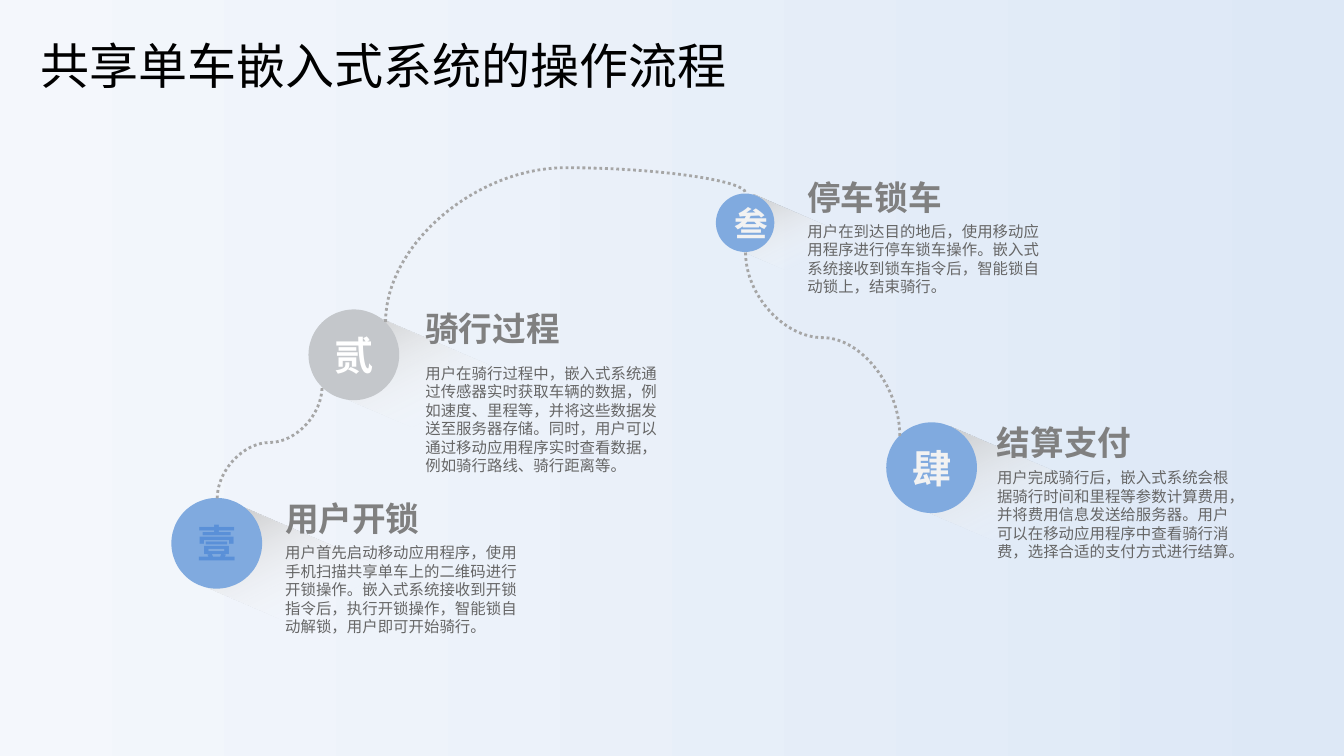
"""Build a slide on the four steps of riding a shared bike."""
import pptx
import pptx.util
import pptx.dml.color
import pptx.enum.dml
import pptx.enum.shapes
import pptx.enum.text
import pptx.oxml
import pptx.oxml.ns

Inches = pptx.util.Inches
RGBColor = pptx.dml.color.RGBColor
Shape = pptx.enum.shapes.MSO_SHAPE
Fit = pptx.enum.text.MSO_AUTO_SIZE
Align = pptx.enum.text.PP_ALIGN

BLACK = RGBColor(0x00, 0x00, 0x00)
WHITE = RGBColor(0xFF, 0xFF, 0xFF)
PALE = RGBColor(0xF2, 0xF2, 0xF2)
BLUE = RGBColor(0x80, 0xAA, 0xDF)
DEEP = RGBColor(0x5A, 0x90, 0xD8)
SILVER = RGBColor(0xC4, 0xC7, 0xCB)
GRAY = RGBColor(0x80, 0x80, 0x80)
DARK = RGBColor(0x66, 0x66, 0x66)
DOT = RGBColor(0xA6, 0xA6, 0xA6)
DAWN = RGBColor(0xF4, 0xF7, 0xFC)
SKY = RGBColor(0xDD, 0xE8, 0xF6)
MIST = RGBColor(0xAC, 0xC8, 0xEA)
SHADE = RGBColor(0xBF, 0xBF, 0xBF)


def add_fade(box, stops, angle, turn=0):
    """Add a rectangle whose stops are (place, colour, opacity) in percent."""
    rect = slide.shapes.add_shape(Shape.RECTANGLE, *map(Inches, box))
    rect.shadow.inherit = False
    rect.line.fill.background()
    rect.rotation = turn
    marks = "".join(
        f'<a:gs pos="{place * 1000}"><a:srgbClr val="{color}">'
        f'<a:alpha val="{alpha * 1000}"/></a:srgbClr></a:gs>'
        for place, color, alpha in stops)
    grad = pptx.oxml.parse_xml(
        f'<a:gradFill {pptx.oxml.ns.nsdecls("a")} rotWithShape="1">'
        f'<a:gsLst>{marks}</a:gsLst>'
        f'<a:lin ang="{angle * 60000}" scaled="0"/></a:gradFill>')
    rect._element.spPr.find(pptx.oxml.ns.qn("a:prstGeom")).addnext(grad)


def write(frame, text, size, color, bold=False):
    """Put one styled paragraph in a text frame."""
    frame.text = text
    line = frame.paragraphs[0]
    line.font.name = "Calibri"
    line.font.size = pptx.util.Pt(size)
    line.font.bold = bold
    line.font.color.rgb = color
    return line


deck = pptx.Presentation()
deck.slide_width = Inches(13.33)
deck.slide_height = Inches(7.5)
slide = deck.slides.add_slide(deck.slide_layouts[5])
title = slide.shapes.title

add_fade((0, 0, 13.33, 7.5), [(0, DAWN, 100), (100, SKY, 100)], 0)

haze = [(0, MIST, 54), (0, SHADE, 100), (54, WHITE, 0)]
for box in [(9.16, 4.64, 2.26, 0.87), (7.31, 2.2, 1.47, 0.56),
            (3.35, 3.5, 2.26, 0.87), (2.11, 5.43, 2.26, 0.87)]:
    add_fade(box, haze, 40, 23.3)

for mark, left, top, side, fill, color, size in [
        ("叁", 7.1, 1.92, 0.58, BLUE, PALE, 24),
        ("肆", 8.79, 4.19, 0.9, BLUE, PALE, 28),
        ("贰", 3.06, 3.07, 0.9, SILVER, WHITE, 28),
        ("壹", 1.7, 4.94, 0.9, BLUE, DEEP, 28)]:
    disc = slide.shapes.add_shape(
        Shape.OVAL, Inches(left), Inches(top), Inches(side), Inches(side))
    disc.shadow.inherit = False
    disc.fill.solid()
    disc.fill.fore_color.rgb = fill
    disc.line.fill.background()
    disc.text_frame.vertical_anchor = pptx.enum.text.MSO_ANCHOR.MIDDLE
    write(disc.text_frame, mark, size, color, True).alignment = Align.CENTER

steps = [
    ("用户开锁", 2.73, 4.89, 5.34, 1.02,
     "用户首先启动移动应用程序，使用手机扫描共享单车上的二维码进行开锁操作。"
     "嵌入式系统接收到开锁指令后，执行开锁操作，智能锁自动解锁，用户即可开始骑行。"),
    ("骑行过程", 4.12, 3.01, 3.56, 1.21,
     "用户在骑行过程中，嵌入式系统通过传感器实时获取车辆的数据，例如速度、里程等，"
     "并将这些数据发送至服务器存储。同时，用户可以通过移动应用程序实时查看数据，"
     "例如骑行路线、骑行距离等。"),
    ("停车锁车", 7.91, 1.71, 2.15, 0.84,
     "用户在到达目的地后，使用移动应用程序进行停车锁车操作。"
     "嵌入式系统接收到锁车指令后，智能锁自动锁上，结束骑行。"),
    ("结算支付", 9.79, 4.14, 4.6, 1.03,
     "用户完成骑行后，嵌入式系统会根据骑行时间和里程等参数计算费用，"
     "并将费用信息发送给服务器。用户可以在移动应用程序中查看骑行消费，"
     "选择合适的支付方式进行结算。"),
]
for name, left, top, low, height, text in steps:
    group = slide.shapes.add_group_shape()
    head = group.shapes.add_textbox(
        Inches(left), Inches(top), Inches(1.53), Inches(0.5)).text_frame
    head.word_wrap = False
    head.auto_size = Fit.SHAPE_TO_FIT_TEXT
    write(head, name, 24, GRAY, True)
    body = group.shapes.add_textbox(
        Inches(left), Inches(low), Inches(2.62), Inches(height)).text_frame
    body.word_wrap = True
    body.auto_size = Fit.SHAPE_TO_FIT_TEXT
    write(body, text, 11, DARK)

for start, end, bend in [((3.23, 4.91), (2.12, 3.87), 0.5),
                         ((7.25, 4.18), (9.07, 2.65), 0.464),
                         ((6.25, 4.34), (4.97, 0.77), 1.196)]:
    curve = slide.shapes.add_connector(
        pptx.enum.shapes.MSO_CONNECTOR.CURVE, *map(Inches, start + end))
    curve.line.color.rgb = DOT
    curve.line.width = pptx.util.Pt(2)
    curve.line.dash_style = pptx.enum.dml.MSO_LINE.ROUND_DOT
    props = curve._element.spPr
    props.find(pptx.oxml.ns.qn("a:xfrm")).set("rot", str(90 * 60000))
    guide = pptx.oxml.parse_xml(
        f'<a:gd {pptx.oxml.ns.nsdecls("a")} name="adj1" '
        f'fmla="val {round(bend * 100000)}"/>')
    props.find(".//" + pptx.oxml.ns.qn("a:avLst")).append(guide)
    props.append(pptx.oxml.parse_xml(
        f'<a:effectLst {pptx.oxml.ns.nsdecls("a")}/>'))

title.left, title.top = Inches(0.27), Inches(0.28)
title.width, title.height = Inches(9.74), Inches(0.91)
frame = title.text_frame
frame.auto_size = Fit.NONE
frame.word_wrap = True
frame.vertical_anchor = pptx.enum.text.MSO_ANCHOR.TOP
frame.margin_left = frame.margin_right = Inches(0.13)
frame.margin_top = frame.margin_bottom = Inches(0.07)
write(frame, "共享单车嵌入式系统的操作流程", 35, BLACK).alignment = Align.LEFT
slide.shapes._spTree.append(title._element)

deck.save("out.pptx")
